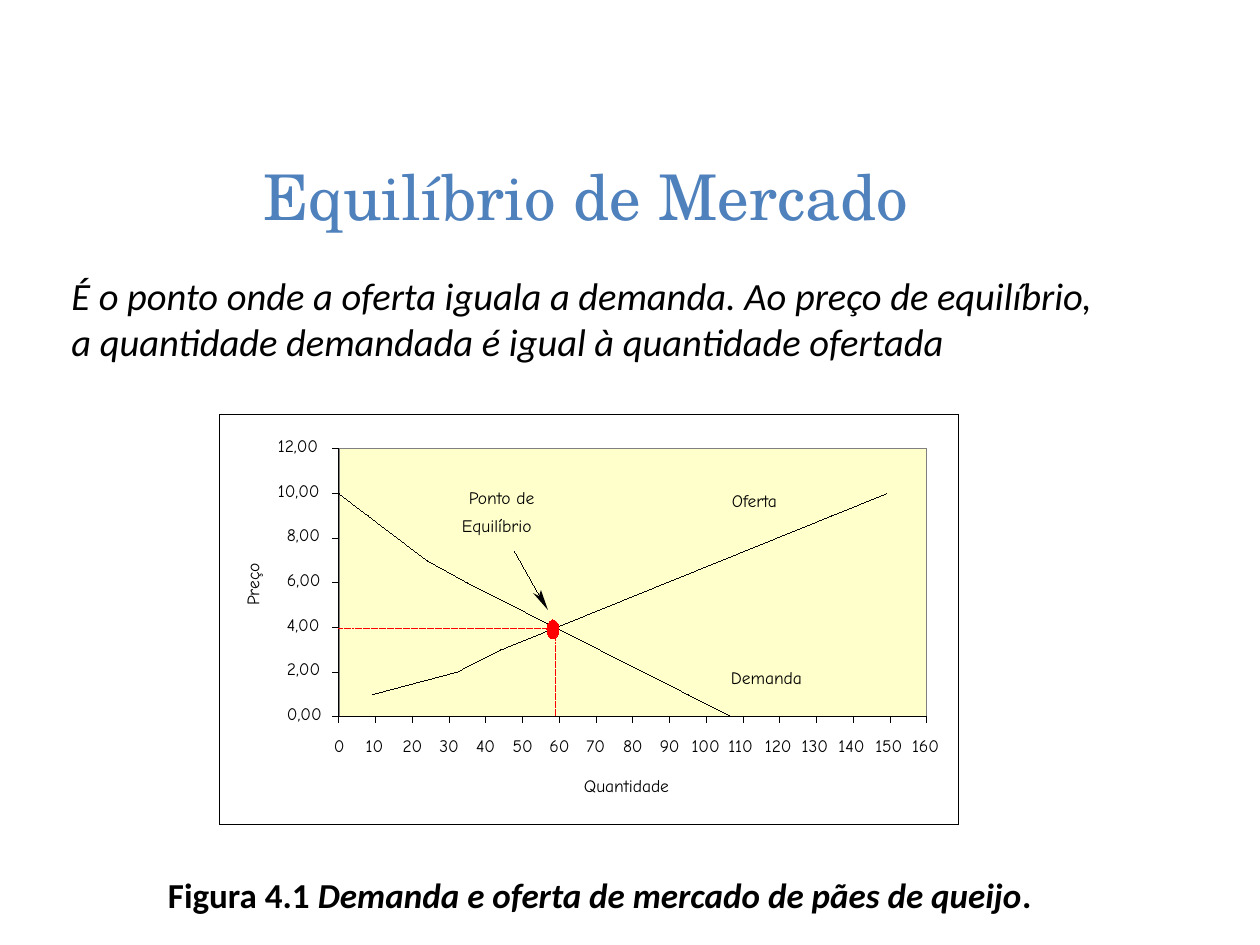
from dataclasses import dataclass
from lxml.etree import SubElement
from pptx import Presentation
from pptx.dml.color import RGBColor
from pptx.enum.dml import MSO_LINE
from pptx.enum.shapes import MSO_CONNECTOR, MSO_SHAPE
from pptx.enum.text import MSO_ANCHOR, PP_ALIGN
from pptx.oxml.ns import qn
from pptx.util import Pt


@dataclass(frozen=True)
class Theme:
    title: str = "4F81BD"
    ink: str = "000000"
    red: str = "FF0000"
    paper: str = "FFFFFF"
    plot: str = "FFFFCC"
    edge: str = "808080"
    head: str = "TeX Gyre Schola"
    body: str = "Calibri"
    label: str = "Comic Neue"
    big: int = 36
    text: int = 22
    note: int = 20
    small: int = 10
    hair: float = 0.01


T = Theme()
OFFER = list(zip([9, 32, 44, 59, 74, 89, 104, 119, 134, 149], range(1, 11)))
DEMAND = list(zip([107, 95, 83, 71, 59, 47, 35, 24, 16, 8, 0], range(11)))
TOP_X, TOP_Y = 160, 12


def px(n):
    return round(n * 914400 / 126)


def rgb(code):
    return RGBColor.from_string(code)


def style(font, name, size, color=T.ink, bold=False, italic=False):
    font.name, font.size = name, Pt(size)
    font.color.rgb = rgb(color)
    font.bold, font.italic = bold, italic


def add_text(slide, box, text, wrap=False):
    shape = slide.shapes.add_textbox(*map(px, box))
    frame = shape.text_frame
    frame.word_wrap = wrap
    if not wrap:
        frame.margin_left = frame.margin_right = 0
        frame.margin_top = frame.margin_bottom = 0
    frame.text = text
    return shape


def add_label(slide, box, text):
    shape = add_text(slide, box, text)
    style(shape.text_frame.paragraphs[0].runs[0].font, T.label, T.small)
    return shape


def add_line(slide, ends, color=T.ink):
    shape = slide.shapes.add_connector(MSO_CONNECTOR.STRAIGHT, *map(px, ends))
    shape.line.color.rgb = rgb(color)
    shape.line.width = Pt(T.hair)
    SubElement(shape.element.spPr, qn("a:effectLst"))
    return shape


def paint(shape, fill=None, line=None):
    shape.shadow.inherit = False
    if fill:
        shape.fill.solid()
        shape.fill.fore_color.rgb = rgb(fill)
    else:
        shape.fill.background()
    if line:
        shape.line.color.rgb = rgb(line)
        shape.line.width = Pt(T.hair)
    else:
        shape.line.fill.background()


def add_shape(slide, kind, box, fill, line):
    paint(slide.shapes.add_shape(kind, *map(px, box)), fill, line)


def add_path(slide, points, close=False, **colors):
    first, *rest = [(px(x), px(y)) for x, y in points]
    path = slide.shapes.build_freeform(*first)
    path.add_line_segments(rest, close=close)
    paint(path.convert_to_shape(), **colors)


def add_title(slide, box):
    title = slide.shapes.title
    title.left, title.top, title.width, title.height = map(px, box)
    frame = title.text_frame
    frame.text = "Equilíbrio de Mercado "
    frame.vertical_anchor = MSO_ANCHOR.MIDDLE
    para = frame.paragraphs[0]
    para.alignment = PP_ALIGN.CENTER
    style(para.runs[0].font, T.head, T.big, T.title)


def add_body(slide, box):
    shape = add_text(slide, box, "É o ponto onde a oferta iguala a demanda. "
                     "Ao preço de equilíbrio, a quantidade demandada é igual "
                     "à quantidade ofertada", wrap=True)
    style(shape.text_frame.paragraphs[0].runs[0].font, T.body, T.text,
          italic=True)


def add_plot(slide, box):
    """Plot area with both axes and the two curves."""
    left, top, wide, high = box
    right, base = left + wide, top + high

    def spot(x, y):
        return left + x * wide / TOP_X, base - y * high / TOP_Y

    add_shape(slide, MSO_SHAPE.RECTANGLE, box, T.plot, T.edge)

    # Price axis
    add_line(slide, (left, top, left, base))
    for price in range(0, TOP_Y + 1, 2):
        y = spot(0, price)[1]
        add_line(slide, (left - 6, y, left, y))
        size = 52 if price < 10 else 61
        add_label(slide, (left - size, y - 14, size, 31), f"{price},00")

    # Quantity axis
    add_line(slide, (left, base, right, base))
    for count in range(0, TOP_X + 1, 10):
        x, text = spot(count, 0)[0], str(count)
        add_line(slide, (x, base + 6, x, base))
        add_label(slide, (x - 5 * len(text), base + 18,
                          12 + 10 * len(text), 31), text)

    # Supply and demand
    for points in (OFFER, DEMAND):
        add_path(slide, [spot(x, y) for x, y in points], line=T.ink)


def add_marks(slide, box):
    """Names, guides and the arrow to the balance point."""
    left, top = box[:2]
    for text, x, y, wide in (("Quantidade", 365, 361, 112),
                             ("Demanda", 512, 253, 89),
                             ("Oferta", 513, 76, 74),
                             ("Ponto de", 250, 73, 91),
                             ("Equilíbrio", 243, 101, 93)):
        add_label(slide, (left + x, top + y, wide, 31), text)
    add_label(slide, (left + 9, top + 147, 59, 31), "Preço").rotation = 270

    # Guides to both axes
    for x1, y1, x2, y2 in ((337, 215, 337, 302), (120, 215, 328, 215)):
        guide = add_line(slide, (left + x1, top + y1, left + x2, top + y2),
                         T.red)
        guide.line.dash_style = MSO_LINE.ROUND_DOT

    # Arrow with a barbed head
    add_line(slide, (left + 296, top + 138, left + 323, top + 186))
    barb = [(314, 179), (329, 196), (322, 176), (320, 182)]
    add_path(slide, [(left + x, top + y) for x, y in barb], close=True,
             fill=T.ink)

    # Balance point
    add_shape(slide, MSO_SHAPE.OVAL, (left + 328, top + 206, 12, 19),
              T.red, T.red)


def add_figure(slide, box):
    left, top = box[:2]
    add_shape(slide, MSO_SHAPE.RECTANGLE, box, T.paper, T.ink)
    add_plot(slide, (left + 120, top + 35, 588, 268))
    add_marks(slide, box)


def add_caption(slide, box):
    para = add_text(slide, box, "Figura 4.1 ").text_frame.paragraphs[0]
    para.add_run().text = "Demanda e oferta de mercado de pães de queijo"
    para.add_run().text = "."
    for run, slant in zip(para.runs, (False, True, False)):
        style(run.font, T.body, T.note, bold=True, italic=slant)


def main():
    deck = Presentation()
    deck.slide_width, deck.slide_height = px(1260), px(945)
    slide = deck.slides.add_slide(deck.slide_layouts[5])
    add_title(slide, (59, 148, 1071, 95))
    add_body(slide, (59, 266, 1053, 111))
    add_figure(slide, (219, 414, 740, 411))
    add_caption(slide, (168, 873, 867, 43))
    deck.save("out.pptx")


if __name__ == "__main__":
    main()
